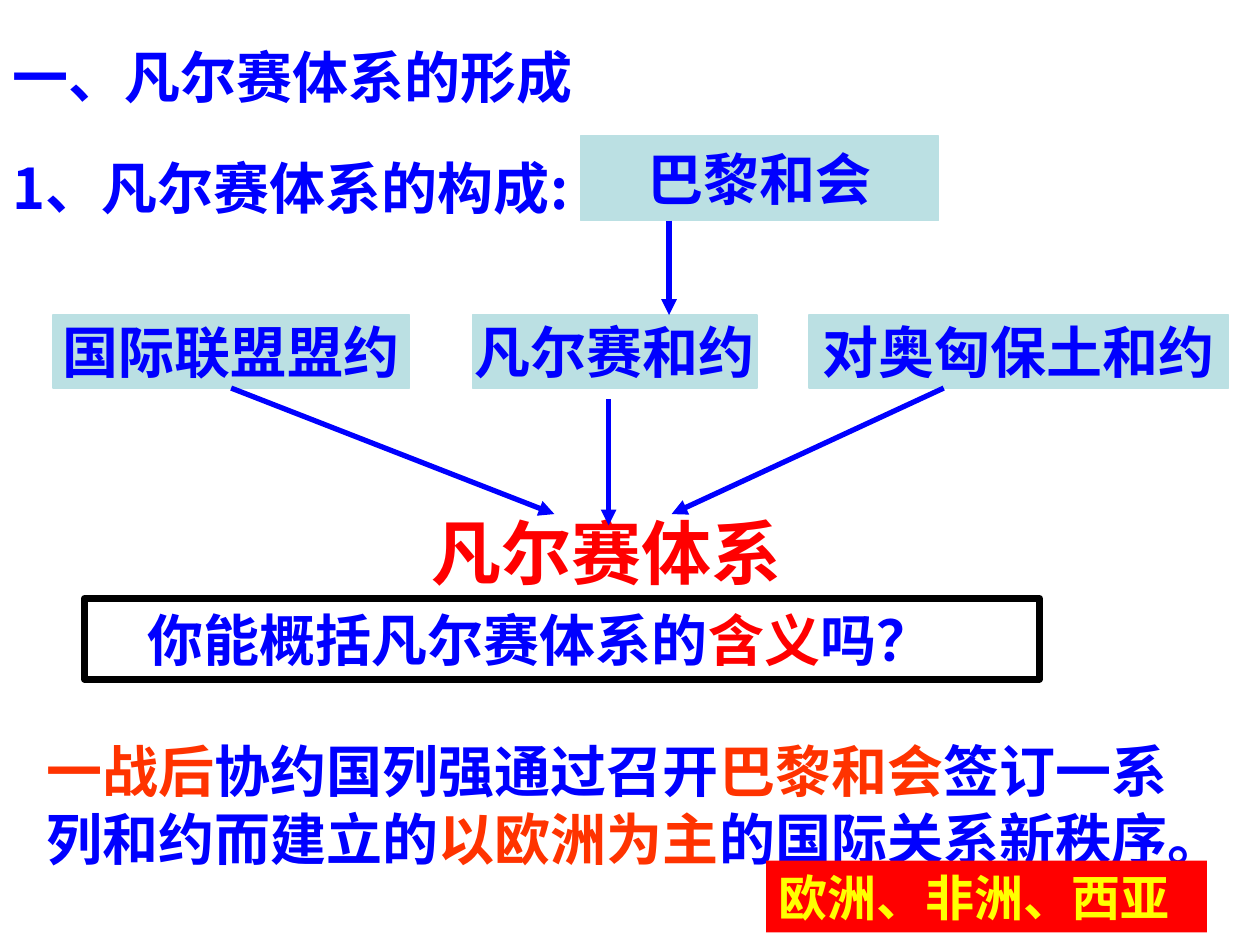
from lxml.etree import SubElement
from pptx import Presentation
from pptx.dml.color import RGBColor
from pptx.enum.shapes import MSO_CONNECTOR, MSO_SHAPE
from pptx.enum.text import MSO_ANCHOR, PP_ALIGN
from pptx.oxml.ns import qn
from pptx.util import Inches, Pt

CJK = "Noto Sans CJK SC"
BLUE, RED, WARM, PALE = "0000FF", "FF0000", "FF3300", "BBE0E3"
CENTER = {"alignment": PP_ALIGN.CENTER}
LEFT = {"alignment": PP_ALIGN.LEFT}


def color(code):
    return RGBColor.from_string(code)


def place(shape, box):
    for name, value in zip(("left", "top", "width", "height"), box):
        setattr(shape, name, Inches(value))


def write(shape, runs, size=32, face=CJK, anchor=MSO_ANCHOR.MIDDLE,
          wrap=True, form=CENTER):
    """Fill a shape with one paragraph of (text, color) runs."""
    frame = shape.text_frame
    frame.word_wrap, frame.vertical_anchor = wrap, anchor
    para = frame.paragraphs[0]
    look = {"line_spacing": Pt(size * 1.2), "space_before": Pt(0), **form}
    for name, value in look.items():
        setattr(para, name, value)
    for text, code in runs:
        run = para.add_run()
        run.text = text
        for name, value in {"size": Pt(size), "bold": True, "name": face}.items():
            setattr(run.font, name, value)
        run.font.color.rgb = color(code)
        SubElement(run.font._element, qn("a:ea"), typeface=CJK)


def block(slide, box, fill=None, line=None, width=0.75):
    shape = slide.shapes.add_shape(MSO_SHAPE.RECTANGLE, *map(Inches, box))
    shape.shadow.inherit = False
    for part, code in ((shape.fill, fill), (shape.line.fill, line)):
        if code:
            part.solid()
            part.fore_color.rgb = color(code)
        else:
            part.background()
    if line:
        shape.line.width = Pt(width)
    return shape


def label(slide, box, text):
    shape = block(slide, box, PALE, PALE)
    write(shape, [(text, BLUE)], wrap=False)
    return shape


def arrow(slide, start, end):
    link = slide.shapes.add_connector(
        MSO_CONNECTOR.STRAIGHT, *map(Inches, start + end))
    link.line.color.rgb = color(BLUE)
    link.line.width = Pt(3)
    SubElement(link.line._get_or_add_ln(), qn("a:tailEnd"), type="triangle")
    SubElement(link._element.spPr, qn("a:effectLst"))
    return link


def heads(slide, box):
    """Slide title with the section line below it."""
    x, y, w, h = box
    title = slide.shapes.title
    place(title, (x, y, w, h))
    write(title, [("一、凡尔赛体系的形成", BLUE)], face="Arial", form=LEFT)
    part = slide.shapes.add_textbox(*map(Inches, (x, y + 1, w / 2, 1.17)))
    write(part, [("1、凡尔赛体系的构成:", BLUE)],
          anchor=MSO_ANCHOR.TOP, form=LEFT)


def chart(slide, box):
    """Conference, its three treaties and the system they form."""
    x, y, w, h = box
    row, foot = y + 1.42, y + 2
    label(slide, (x + 4.19, y, 2.84, 0.67), "巴黎和会")
    cells = [(0, 2.83, "国际联盟盟约"), (3.33, 2.26, "凡尔赛和约"),
             (6, 3.33, "对奥匈保土和约")]
    pact = [label(slide, (x + dx, row, wide, foot - row), text)
            for dx, wide, text in cells]
    goal = slide.shapes.add_textbox(
        *map(Inches, (x + 2.62, y + h - 0.75, 3.55, 0.75)))
    write(goal, [("凡尔赛体系", RED)], size=40, wrap=False)
    # Arrows
    tip = foot + 1
    arrow(slide, (x + 4.89, y + 0.67), (x + 4.89, row))
    arrow(slide, (x + 4.41, foot + 0.09), (x + 4.41, tip + 0.09))
    arrow(slide, (x + 1.41, foot), (x + 3.98, tip)).begin_connect(pact[0], 2)
    arrow(slide, (x + 7.07, foot), (x + 4.91, tip))


def ask(slide, box):
    """Framed question."""
    shape = block(slide, box, line="000000", width=4)
    shape.text_frame.margin_left = Inches(0.5)
    write(shape, [("你能概括凡尔赛体系的", BLUE), ("含义", RED), ("吗？", BLUE)],
          face="Arial", form=LEFT)


def answer(slide, box):
    """Definition with a red note over its lower right corner."""
    x, y, w, h = box
    shape = block(slide, box, "FFFFFF")
    write(shape, [("一战后", WARM), ("协约国列强通过召开", BLUE),
                  ("巴黎和会", WARM), ("签订一系列和约而建立的", BLUE),
                  ("以欧洲为主", WARM), ("的国际关系新秩序。", BLUE)],
          anchor=MSO_ANCHOR.TOP, form=LEFT)
    note = block(slide, (x + 5.81, y + 1.03, 3.5, 0.57), RED)
    write(note, [("欧洲、非洲、西亚", "FFFF00")], size=28, face="Arial", form=LEFT)


def main():
    deck = Presentation()
    deck.slide_width, deck.slide_height = Inches(10), Inches(7.5)
    slide = deck.slides.add_slide(deck.slide_layouts[5])
    chart(slide, (0.42, 1.08, 9.33, 3.67))
    heads(slide, (0, 0.17, 10, 0.87))
    ask(slide, (0.67, 4.75, 7.58, 0.64))
    answer(slide, (0.27, 5.8, 9.37, 1.17))
    deck.save("out.pptx")


if __name__ == "__main__":
    main()
